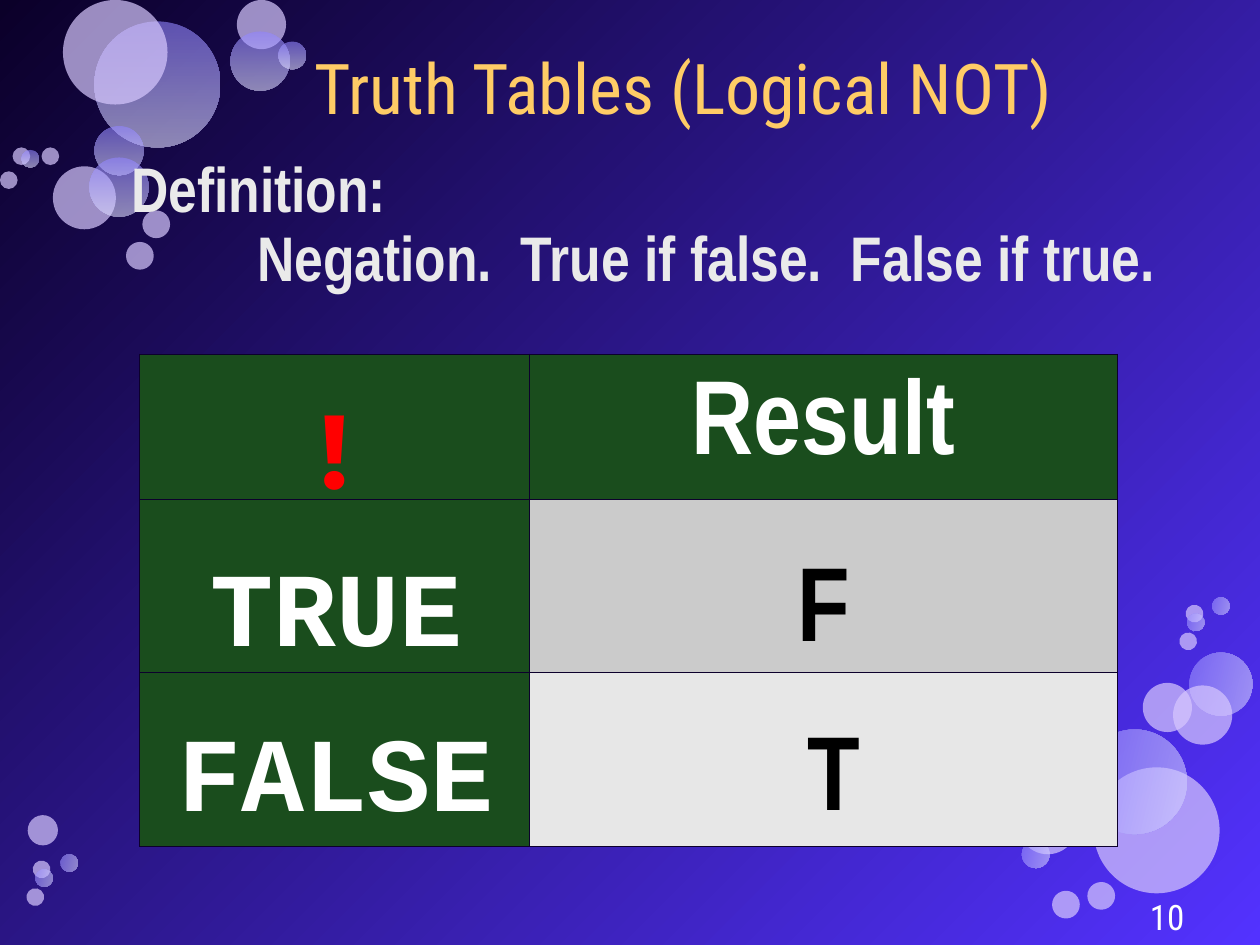
from pptx import Presentation
from pptx import util as u
from pptx.dml import color
from pptx.enum import shapes, text
from pptx.oxml import ns
from lxml import etree

MATTE, GLOSSY = False, True
TOP_BUBBLES = [
    (0.75, 0.17, 1, GLOSSY), (0.42, 1.32, 0.5, MATTE), (0.75, 1, 0.39, GLOSSY),
    (0.71, 1.25, 0.47, GLOSSY), (0.5, 0, 0.83, MATTE), (1.88, 0, 0.39, MATTE),
    (1.83, 0.25, 0.47, GLOSSY), (2.21, 0.33, 0.22, GLOSSY), (1.13, 1.67, 0.22, MATTE),
    (0.1, 1.17, 0.14, MATTE), (1, 1.92, 0.22, MATTE), (0, 1.36, 0.14, MATTE),
    (0.17, 1.19, 0.14, GLOSSY), (0.33, 1.17, 0.14, MATTE),
]
BOTTOM_BUBBLES = [
    (8.68, 6.09, 1, MATTE), (9.44, 5.18, 0.5, GLOSSY), (9.07, 5.42, 0.39, MATTE),
    (9.31, 5.44, 0.47, MATTE), (8.59, 5.79, 0.83, GLOSSY), (0.22, 6.47, 0.24, MATTE),
    (8.08, 6.31, 0.47, MATTE), (8.11, 6.67, 0.22, GLOSSY), (8.35, 7.07, 0.22, MATTE),
    (9.41, 4.8, 0.14, MATTE), (8.63, 7, 0.22, MATTE), (9.62, 4.74, 0.14, GLOSSY),
    (9.42, 4.87, 0.14, GLOSSY), (9.36, 5.02, 0.14, MATTE), (0.26, 6.83, 0.14, MATTE),
    (0.48, 6.78, 0.14, GLOSSY), (0.28, 6.9, 0.14, GLOSSY), (0.21, 7.05, 0.14, MATTE),
]
GREEN = "1A4D1D"
CELL_FILLS = [[GREEN, GREEN], [GREEN, "CBCBCB"], [GREEN, "E7E7E7"]]


def rgb(value):
    return color.RGBColor.from_string(value)


class SlideBuilder:
    """Draws styled elements on the current slide."""

    narrow = "Arial Narrow"
    heading = "Roboto Condensed"
    code = "Courier New"
    border = "0C002C"

    def __init__(self, slide):
        self.slide = slide

    def gradient(self, fill, start, end, angle):
        fill.gradient()
        fill.gradient_angle = angle
        for stop, value in zip(fill.gradient_stops, (start, end)):
            stop.color.rgb = rgb(value)

    def bubble(self, left, top, size, glossy, turned=False):
        shape = self.slide.shapes.add_shape(
            shapes.MSO_SHAPE.OVAL, *map(u.Inches, (left, top, size, size)))
        shape.shadow.inherit = False
        shape.line.fill.background()
        if glossy:
            self.gradient(shape.fill, "9185FF", "DEDCFF", 270)
        else:
            shape.fill.solid()
            shape.fill.fore_color.rgb = rgb("D7C8FE")
        for paint in shape._element.spPr.iter(ns.qn("a:srgbClr")):
            etree.SubElement(paint, ns.qn("a:alpha"), val="60000" if glossy else "70000")
        if turned:
            shape.rotation = 103.3
            shape._element.spPr.find(ns.qn("a:xfrm")).set("flipV", "1")

    def style(self, para, size, font, ink, bold, align, spacing):
        para.alignment = align
        para.line_spacing = spacing
        para.font.size = u.Pt(size)
        para.font.name = font
        para.font.bold = bold
        para.font.color.rgb = rgb(ink)

    def label(self, words, at, size, font, ink, bold=True, align=text.PP_ALIGN.LEFT,
              spacing=1.04, anchor=text.MSO_ANCHOR.TOP, wrap=True, grow=False,
              inset=True, hanging=0):
        box = self.slide.shapes.add_textbox(*map(u.Inches, at))
        frame = box.text_frame
        frame.word_wrap = wrap
        frame.vertical_anchor = anchor
        frame.auto_size = (text.MSO_AUTO_SIZE.SHAPE_TO_FIT_TEXT if grow
                           else text.MSO_AUTO_SIZE.NONE)
        if not inset:
            frame.margin_left = frame.margin_right = 0
            frame.margin_top = frame.margin_bottom = 0
        para = frame.paragraphs[0]
        para.text = words
        if hanging:
            properties = para._p.get_or_add_pPr()
            properties.set("marL", str(u.Inches(hanging)))
            properties.set("indent", str(-u.Inches(hanging)))
        self.style(para, size, font, ink, bold, align, spacing)

    def cell_borders(self, cell):
        properties = cell._tc.get_or_add_tcPr()
        for place, side in enumerate(("lnL", "lnR", "lnT", "lnB")):
            line = etree.Element(ns.qn(f"a:{side}"), w=str(u.Pt(0.45)))
            fill = etree.SubElement(line, ns.qn("a:solidFill"))
            etree.SubElement(fill, ns.qn("a:srgbClr"), val=self.border)
            properties.insert(place, line)

    def table(self, at, widths, heights, fills):
        table = self.slide.shapes.add_table(
            len(heights), len(widths), *map(u.Inches, at)).table
        table.first_row = table.horz_banding = False
        for column, width in zip(table.columns, widths):
            column.width = u.Inches(width)
        for row, height, row_fills in zip(table.rows, heights, fills):
            row.height = u.Inches(height)
            for cell, value in zip(row.cells, row_fills):
                cell.fill.solid()
                cell.fill.fore_color.rgb = rgb(value)
                self.cell_borders(cell)
        return table


def main():
    deck = Presentation()
    deck.slide_width, deck.slide_height = u.Inches(10), u.Inches(7.5)
    page = SlideBuilder(deck.slides.add_slide(deck.slide_layouts[6]))
    page.gradient(page.slide.background.fill, "0B0029", "5332FF", 315)
    for bubble in TOP_BUBBLES:
        page.bubble(*bubble)
    for bubble in BOTTOM_BUBBLES:
        page.bubble(*bubble, turned=True)

    center, middle = text.PP_ALIGN.CENTER, text.MSO_ANCHOR.MIDDLE
    table = page.table((1.11, 2.81, 7.76, 3.91), (3.09, 4.67), (1.15, 1.38, 1.38), CELL_FILLS)
    result = table.cell(0, 1)
    result.text = "Result"
    result.vertical_anchor = middle
    page.style(result.text_frame.paragraphs[0], 60, page.narrow, "FFFFFF", True, center, 0.94)

    page.label("Definition:\vNegation.  True if false.  False if true.",
               (1.04, 1.25, 8.81, 1.38), 36, page.narrow, "EAEAEA",
               spacing=0.91, inset=False, hanging=1)
    page.label("Truth Tables (Logical NOT)", (1.04, 0.23, 8.77, 0.88), 40, page.heading,
               "FFCC66", bold=False, align=center, anchor=middle, inset=False)
    for words, at, font, ink in (
            ("T", (6.31, 5.51, 0.61, 1.14), page.narrow, "000000"),
            ("F", (6.23, 4.17, 0.57, 1.14), page.narrow, "000000"),
            ("TRUE", (1.57, 4.21, 2.2, 1.14), page.code, "FFFFFF"),
            ("FALSE", (1.32, 5.52, 2.7, 1.14), page.code, "FFFFFF")):
        page.label(words, at, 60, font, ink, wrap=False, grow=True)
    page.label("!", (2.44, 2.82, 0.44, 1.28), 60, "Montserrat", "FF0000",
               align=center, spacing=1.18, wrap=False, grow=True)
    page.label("10", (7.17, 7.13, 2.33, 0.28), 20, page.heading, "FFFFFF",
               bold=False, align=text.PP_ALIGN.RIGHT, anchor=middle)
    deck.save("out.pptx")


if __name__ == "__main__":
    main()
